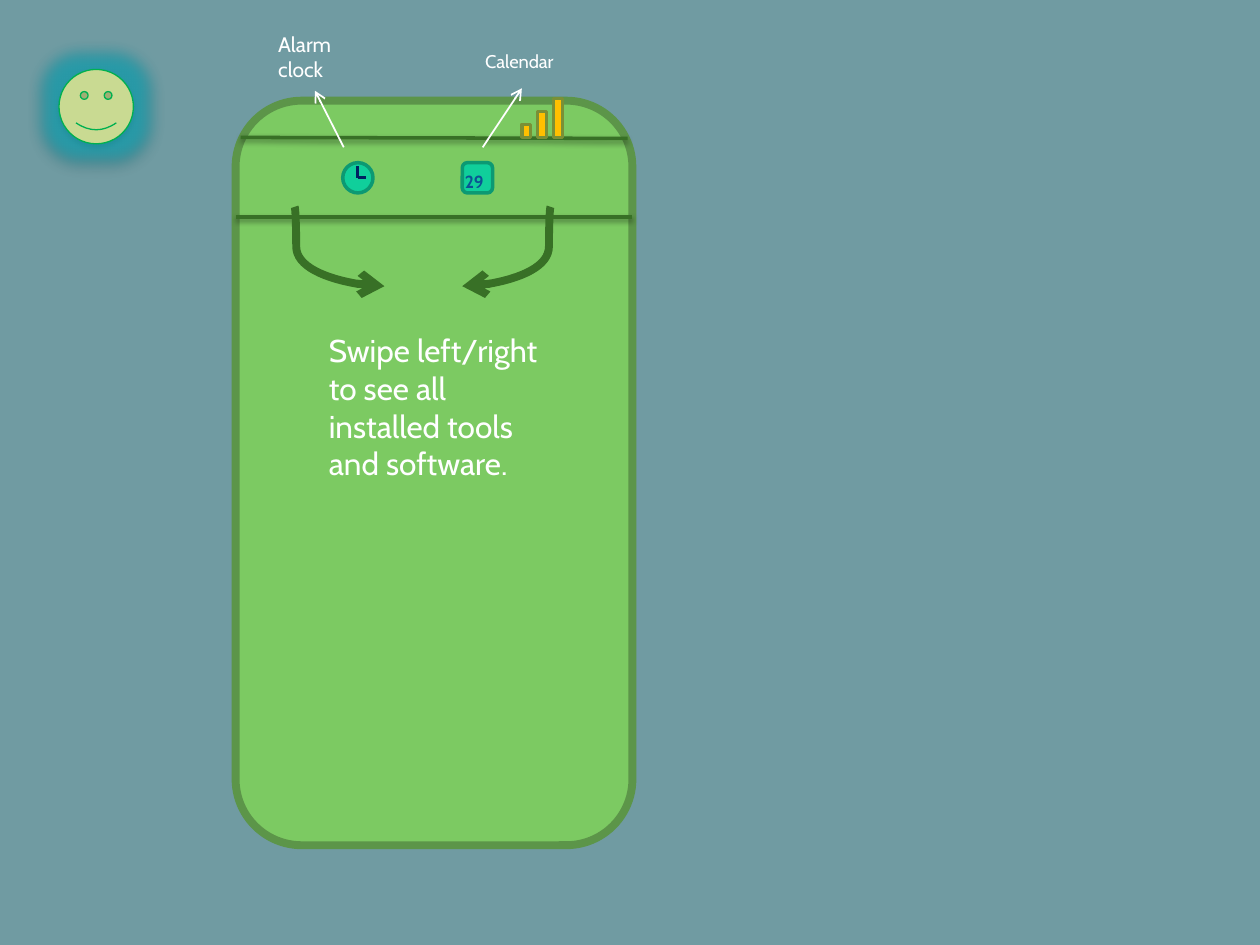
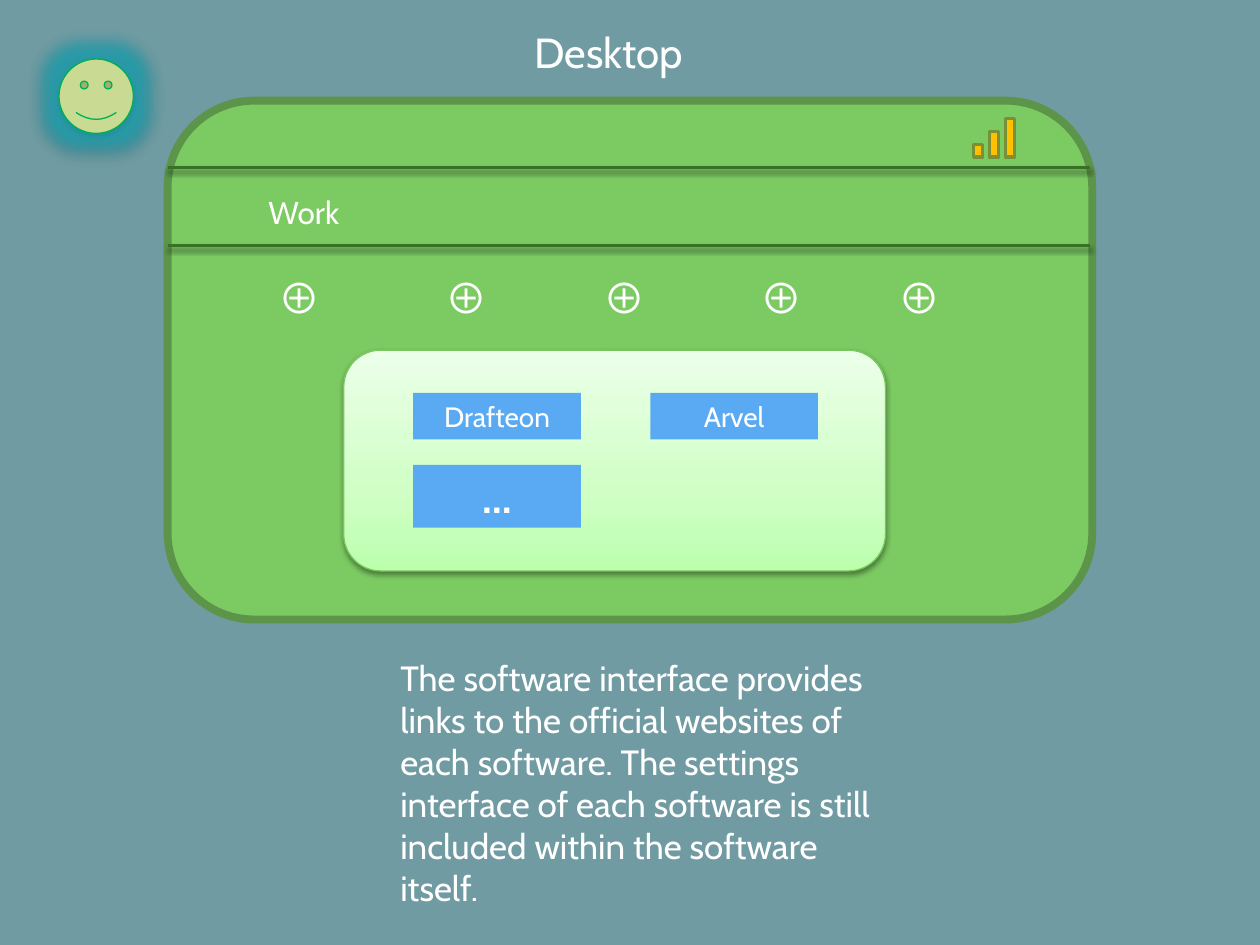
import copy

import lxml.etree
import pptx
import pptx.dml.color
import pptx.enum.shapes
import pptx.enum.text
import pptx.oxml.ns
import pptx.util

Cm = pptx.util.Cm
Pt = pptx.util.Pt
qn = pptx.oxml.ns.qn
SHAPE = pptx.enum.shapes.MSO_SHAPE
CONNECTOR = pptx.enum.shapes.MSO_CONNECTOR
ANCHOR = pptx.enum.text.MSO_ANCHOR
ALIGN = pptx.enum.text.PP_ALIGN

hex_colors = {
    "background": "709BA2",
    "screen": "7CCA62",
    "screen_edge": "5C9549",
    "divider": "387026",
    "icon": "10CF9B",
    "icon_edge": "0C9973",
    "clock_hand": "002060",
    "date": "0B5394",
    "signal": "FFC000",
    "signal_edge": "7A9036",
    "face": "C9DA92",
    "face_edge": "00B050",
    "glow": "0BB1C4",
    "panel_edge": "78C85D",
    "panel_bottom": "BCFFAD",
    "panel_middle": "CFFFC5",
    "panel_top": "ECFFE9",
    "button": "59AAF2",
    "white": "FFFFFF",
    "black": "000000",
}
colors = {name: pptx.dml.color.RGBColor.from_string(value) for name, value in hex_colors.items()}


def style_shape(shape, line, width, arrow=False, shadow=False, glow=0):
    if line:
        shape.line.color.rgb = colors[line]
        shape.line.width = Pt(width)
    else:
        shape.line.fill.background()
    properties = shape.element.spPr
    if arrow:
        lxml.etree.SubElement(properties.find(qn("a:ln")), qn("a:tailEnd"), type="arrow")
    effects = lxml.etree.SubElement(properties, qn("a:effectLst"))
    effect_values = []
    if glow:
        effect_values.append(("a:glow", {"rad": str(Pt(glow))}, "glow", "60000"))
    if shadow:
        shadow_values = {"blurRad": str(Pt(3.1)), "dist": str(Pt(1.6)), "dir": "5400000", "rotWithShape": "0"}
        effect_values.append(("a:outerShdw", shadow_values, "black", "38000"))
    for tag, values, color, alpha in effect_values:
        effect = lxml.etree.SubElement(effects, qn(tag), values)
        tint = lxml.etree.SubElement(effect, qn("a:srgbClr"), val=hex_colors[color])
        lxml.etree.SubElement(tint, qn("a:alpha"), val=alpha)
    return shape


def add_figure(slide, kind, box, fill, line=None, width=1, **effects):
    shape = slide.shapes.add_shape(kind, *map(Cm, box))
    shape.fill.solid()
    shape.fill.fore_color.rgb = colors[fill]
    return style_shape(shape, line, width, **effects)


presentation = pptx.Presentation()
presentation.slide_width = Cm(25.4)
presentation.slide_height = Cm(19.05)
phone_slide = presentation.slides.add_slide(presentation.slide_layouts[6])
desktop_slide = presentation.slides.add_slide(presentation.slide_layouts[5])

screens = [
    (phone_slide, (4.75, 2.03, 8, 15.01), [(4.85, 2.77, 12.65, 2.79), (4.75, 4.37, 12.75, 4.37)], (10.52, 2.77), 1.4),
    (desktop_slide, (3.38, 2.03, 18.64, 10.46), [(3.38, y, 21.97, y) for y in (3.38, 4.95)], (19.63, 3.17), 1.19),
]
for slide, screen_box, dividers, (signal_left, signal_bottom), face_top in screens:
    slide.background.fill.solid()
    slide.background.fill.fore_color.rgb = colors["background"]
    add_figure(slide, SHAPE.ROUNDED_RECTANGLE, screen_box, "screen", "screen_edge", 4.5)
    for ends in dividers:
        divider = slide.shapes.add_connector(CONNECTOR.STRAIGHT, *map(Cm, ends))
        style_shape(divider, "divider", 2, shadow=True)
    for index in range(3):
        height = 0.26 * (index + 1)
        bar_box = (signal_left + 0.32 * index, signal_bottom - height, 0.18, height)
        add_figure(slide, SHAPE.RECTANGLE, bar_box, "signal", "signal_edge", 2)
    face_box = (1.19, face_top, 1.5, 1.5)
    add_figure(slide, SHAPE.SMILEY_FACE, face_box, "face", "face_edge", 0.75, shadow=True, glow=18)

for kind, left in [(SHAPE.OVAL, 6.91), (SHAPE.ROUNDED_RECTANGLE, 9.32)]:
    add_figure(phone_slide, kind, (left, 3.28, 0.61, 0.61), "icon", "icon_edge", 2)

pointers = [
    (CONNECTOR.STRAIGHT, (7.21, 3.35, 7.21, 3.58), "clock_hand", 1.5, False),
    (CONNECTOR.STRAIGHT, (7.37, 3.58, 7.21, 3.58), "clock_hand", 1.5, False),
    (CONNECTOR.CURVE, (5.94, 4.17, 7.75, 5.77), "divider", 4.5, True),
    (CONNECTOR.CURVE, (11.1, 4.17, 9.32, 5.77), "divider", 4.5, True),
    (CONNECTOR.STRAIGHT, (6.93, 2.97, 6.35, 1.83), "white", 1, True),
    (CONNECTOR.STRAIGHT, (9.73, 2.97, 10.52, 1.78), "white", 1, True),
]
for kind, ends, color, width, arrow in pointers:
    pointer = phone_slide.shapes.add_connector(kind, *map(Cm, ends))
    style_shape(pointer, color, width, arrow=arrow)
    if kind == CONNECTOR.CURVE:
        adjustments = pointer.element.spPr.find(".//" + qn("a:avLst"))
        lxml.etree.SubElement(adjustments, qn("a:gd"), name="adj1", fmla="val 1800")

panel_box = (6.93, 7.06, 10.92, 4.45)
panel = add_figure(desktop_slide, SHAPE.ROUNDED_RECTANGLE, panel_box, "panel_top", "panel_edge", 0.75, shadow=True)
panel.fill.gradient()
panel.fill.gradient_angle = 90
stop_list = panel.element.spPr.find(".//" + qn("a:gsLst"))
stop_list.insert(1, copy.deepcopy(stop_list[0]))
panel_stops = [(0, "panel_bottom"), (0.35, "panel_middle"), (1, "panel_top")]
for stop, (position, color) in zip(panel.fill.gradient_stops, panel_stops):
    stop.position = position
    stop.color.rgb = colors[color]

description = (
    "The software interface provides links to the official websites of each software. "
    "The settings interface of each software is still included within the software itself."
)
labels = [
    (phone_slide, "29", (9.12, 3.33, 1.37, 0.69), 10, {"color": "date", "bold": True}),
    (phone_slide, "Swipe left/right to see all installed tools and software.", (6.38, 6.55, 4.72, 3.33), 18, {}),
    (phone_slide, "Alarm clock", (5.36, 0.51, 1.98, 1.27), 12, {}),
    (phone_slide, "Calendar", (9.53, 0.89, 1.98, 0.71), 10.5, {}),
    (desktop_slide, "Desktop", (10.52, 0.41, 4.37, 1.27), 24, {"title": True}),
    (desktop_slide, "Work", (5.16, 3.76, 2.34, 1.02), 18, {}),
    (desktop_slide, description, (7.82, 13.11, 10.03, 5.38), 20, {}),
    (desktop_slide, "Drafteon", (8.33, 7.92, 3.38, 0.94), 16, {"button": True}),
    (desktop_slide, "Arvel", (13.11, 7.92, 3.38, 0.94), 16, {"button": True}),
    (desktop_slide, "…", (8.33, 9.37, 3.38, 1.27), 24, {"button": True, "bold": True}),
]
for left in (5.36, 8.74, 11.91, 15.09, 17.86):
    labels.append((desktop_slide, "⊕", (left, 5.36, 1.4, 1.27), 24, {"font": "Noto Sans CJK SC"}))

for slide, text, box, size, options in labels:
    is_button = options.get("button", False)
    if is_button:
        shape = add_figure(slide, SHAPE.RECTANGLE, box, "button")
    elif options.get("title"):
        shape = slide.shapes.title
        for name, value in zip(("left", "top", "width", "height"), box):
            setattr(shape, name, Cm(value))
    else:
        shape = slide.shapes.add_textbox(*map(Cm, box))
    frame_format = {
        "word_wrap": True,
        "auto_size": pptx.enum.text.MSO_AUTO_SIZE.NONE,
        "vertical_anchor": ANCHOR.MIDDLE if is_button else ANCHOR.TOP,
    }
    for name, value in frame_format.items():
        setattr(shape.text_frame, name, value)
    paragraph = shape.text_frame.paragraphs[0]
    paragraph.alignment = ALIGN.CENTER if is_button else ALIGN.LEFT
    run = paragraph.add_run()
    run.text = text
    font_format = {
        "name": options.get("font", "Cabin"),
        "size": Pt(size),
        "bold": options.get("bold", False),
    }
    for name, value in font_format.items():
        setattr(run.font, name, value)
    run.font.color.rgb = colors[options.get("color", "white")]
    lxml.etree.SubElement(run.font.fill and run._r.rPr, qn("a:ea"), typeface=font_format["name"])

presentation.save("out.pptx")
